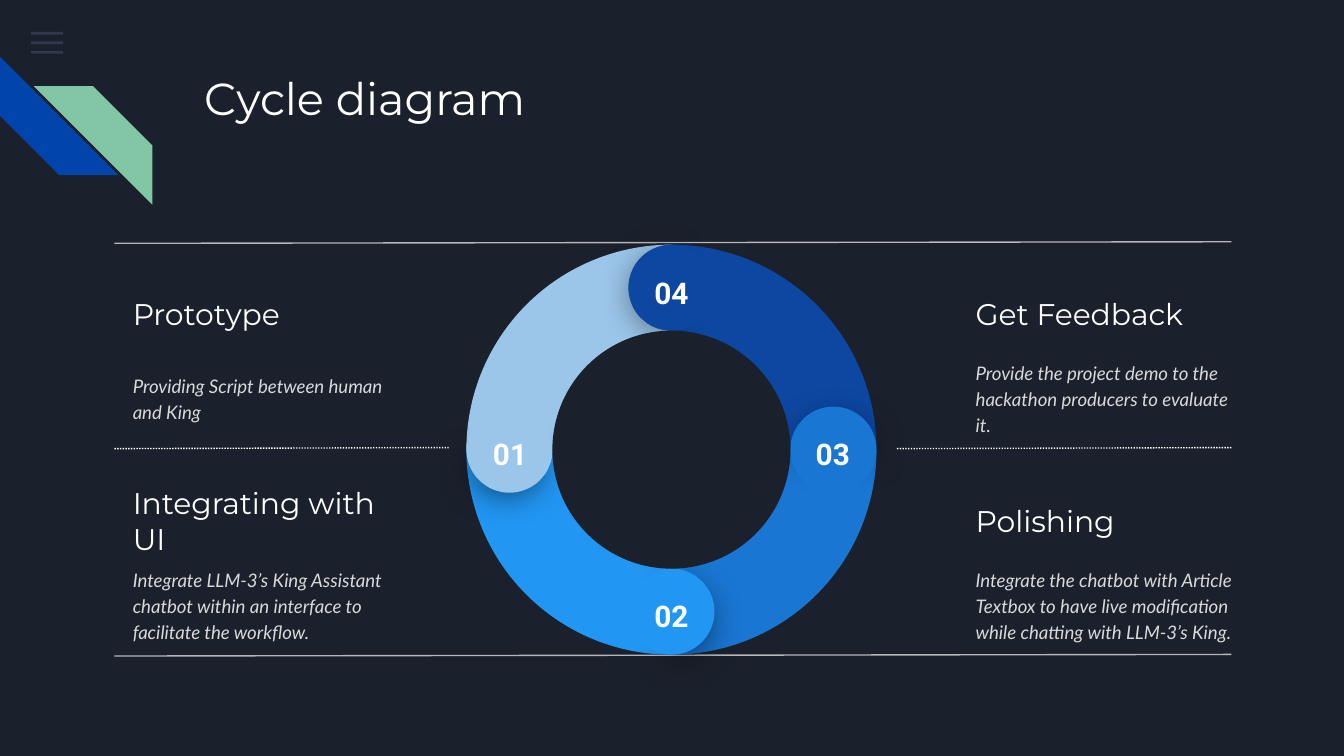
from math import cos, radians, sin

from lxml import etree
from pptx import Presentation
from pptx.dml.color import RGBColor
from pptx.enum.dml import MSO_LINE
from pptx.enum.shapes import MSO_CONNECTOR, MSO_SHAPE
from pptx.enum.text import MSO_ANCHOR, PP_ALIGN
from pptx.oxml.ns import qn
from pptx.util import Cm, Pt

RECT, STRIPE = MSO_SHAPE.RECTANGLE, MSO_SHAPE.DIAGONAL_STRIPE
PIE, CHORD, OVAL = MSO_SHAPE.PIE, MSO_SHAPE.CHORD, MSO_SHAPE.OVAL
STRAIGHT, DOTTED = MSO_CONNECTOR.STRAIGHT, MSO_LINE.ROUND_DOT
TOP, MIDDLE = MSO_ANCHOR.TOP, MSO_ANCHOR.MIDDLE
LEFT, CENTER = PP_ALIGN.LEFT, PP_ALIGN.CENTER

# Content
BACKGROUND, WHITE, BODY_GREY, RULE_GREY = "1B212C", "FFFFFF", "D9D9D9", "B7B7B7"
TITLE = "Cycle diagram"
# Column, row, heading lines, description
STEPS = [
    (0, 0, ["Prototype"], "Providing Script between human and King"),
    (0, 1, ["Integrating with", "UI"],
     "Integrate LLM-3’s King Assistant chatbot within an interface "
     "to facilitate the workflow."),
    (1, 0, ["Get Feedback"],
     "Provide the project demo to the hackathon producers to evaluate it."),
    (1, 1, ["Polishing"],
     "Integrate the chatbot with Article Textbox to have live modification "
     "while chatting with LLM-3’s King."),
]
# Number, direction from the ring centre (clockwise degrees), colour
SECTORS = [("01", 180, "9BC5E9"), ("02", 90, "2196F3"),
           ("03", 0, "1976D2"), ("04", 270, "0D47A1")]
# Start, end, colour, dotted
RULES = [
    ((23.27, 4.57), (2.16, 4.6), RULE_GREY, False),
    ((8.48, 8.46), (2.16, 8.48), WHITE, True),
    ((23.27, 8.46), (16.94, 8.48), WHITE, True),
    ((23.27, 12.37), (2.16, 12.4), RULE_GREY, False),
]

# Layout in centimetres
COLUMNS, ROWS, HEADING_HEIGHT = (2.26, 18.19), (5.31, 9.22), 1.24
RING_X, RING_Y, RING_SIZE, HOLE_SIZE = 12.69, 8.5, 7.75, 4.5
SHADE_RADIUS, CAP_RADIUS, NUMBER_RADIUS = 3.11, 3.06, 3.05


def color(value):
    return RGBColor.from_string(value)


def add_filled(page, kind, center, width, height, fill, rotation=0, adjust=()):
    x, y = center
    shape = page.shapes.add_shape(kind, Cm(x - width / 2), Cm(y - height / 2),
                                  Cm(width), Cm(height))
    shape.shadow.inherit = False
    shape.fill.solid()
    shape.fill.fore_color.rgb = color(fill)
    shape.line.fill.background()
    shape.rotation = rotation % 360
    for index, value in enumerate(adjust):
        shape.adjustments[index] = value
    return shape


def angles(*degrees):
    """Angles are stored in 60000ths of a degree, adjustments in 100000ths."""
    return [0.6 * degree for degree in degrees]


def set_alpha(shape, percent):
    tone = shape._element.spPr.find(qn("a:solidFill"))[0]
    etree.SubElement(tone, qn("a:alpha"), val=str(percent * 1000))


def add_soft_shadow(shape):
    effects = shape._element.spPr.find(qn("a:effectLst"))
    shadow = etree.SubElement(effects, qn("a:outerShdw"), blurRad=str(Pt(18)),
                              dist=str(Pt(4)), dir="5400000", algn="bl",
                              rotWithShape="0")
    tone = etree.SubElement(shadow, qn("a:srgbClr"), val="000000")
    etree.SubElement(tone, qn("a:alpha"), val="55000")


def fill_text(box, lines, size, font, tint, anchor=TOP, align=LEFT,
              bold=False, italic=False, spacing=None):
    frame = box.text_frame
    frame.word_wrap = True
    frame.vertical_anchor = anchor
    frame.margin_left = frame.margin_right = Cm(0.25)
    frame.margin_top = frame.margin_bottom = Cm(0.25)
    for index, line in enumerate(lines):
        para = frame.add_paragraph() if index else frame.paragraphs[0]
        para.alignment = align
        para.line_spacing = spacing
        span = para.add_run()
        span.text = line
        span.font.size, span.font.name = Pt(size), font
        span.font.bold, span.font.italic = bold, italic
        span.font.color.rgb = color(tint)


def add_text(page, left, top, width, height, lines, *style, **options):
    box = page.shapes.add_textbox(Cm(left), Cm(top), Cm(width), Cm(height))
    fill_text(box, lines, *style, **options)


def around(x, y, radius, angle):
    return x + radius * cos(radians(angle)), y + radius * sin(radians(angle))


def add_decoration(page):
    for index in range(3):
        bar = add_filled(page, RECT, (0.89, 0.63 + 0.18 * index), 0.61, 0.05, "55688B")
        set_alpha(bar, 36)
    add_filled(page, STRIPE, (1.12, 2.19), 2.24, 2.24, "0145AC", 270, [0.5])
    add_filled(page, STRIPE, (1.76, 2.75), 2.24, 2.24, "82C7A5", 90, [0.5])


def add_rules(page):
    for start, end, tint, dotted in RULES:
        rule = page.shapes.add_connector(STRAIGHT, *map(Cm, start + end))
        rule.line.color.rgb = color(tint)
        rule.line.width = Pt(0.75)
        if dotted:
            rule.line.dash_style = DOTTED
        etree.SubElement(rule._element.spPr, qn("a:effectLst"))


def add_ring(page):
    center = RING_X, RING_Y
    # Quarter sectors
    for _, angle, fill in SECTORS:
        add_filled(page, PIE, center, RING_SIZE, RING_SIZE, fill,
                   angle - 180, angles(180, 270))
    # Rounded ends: a shaded half disc under a nearly full one, then the number
    for number, angle, fill in SECTORS:
        shade = add_filled(page, PIE, around(*center, SHADE_RADIUS, angle), 1.45, 1.45,
                           fill, angle - 140.5, angles(316, 140))
        add_soft_shadow(shade)
        add_filled(page, CHORD, around(*center, CAP_RADIUS, angle), 1.63, 1.63,
                   fill, angle - 176, angles(41.7, 30.2))
        x, y = around(RING_X, RING_Y - 0.14, NUMBER_RADIUS, angle)
        add_text(page, x - 0.71, y - 0.37, 1.42, 0.74, [number],
                 16, "Roboto", WHITE, align=CENTER, bold=True)
    add_filled(page, OVAL, center, HOLE_SIZE, HOLE_SIZE, BACKGROUND)


def main():
    deck = Presentation()
    deck.slide_width, deck.slide_height = Cm(25.4), Cm(14.29)
    page = deck.slides.add_slide(deck.slide_layouts[5])
    page.background.fill.solid()
    page.background.fill.fore_color.rgb = color(BACKGROUND)

    add_decoration(page)

    # Title
    title = page.shapes.title
    title.left, title.top, title.width, title.height = map(Cm, (3.61, 1.09, 19.56, 2.54))
    fill_text(title, [TITLE], 24, "Montserrat", WHITE)

    # Step texts
    for column, row, heading, description in STEPS:
        left, top = COLUMNS[column], ROWS[row]
        add_text(page, left, top, 5.16, HEADING_HEIGHT, heading,
                 16, "Montserrat", WHITE, anchor=MIDDLE)
        add_text(page, left, top + HEADING_HEIGHT, 5.54, 1.93, [description],
                 10, "Lato", BODY_GREY, anchor=MIDDLE, italic=True, spacing=1.15)

    add_rules(page)
    add_ring(page)
    deck.save("out.pptx")


if __name__ == "__main__":
    main()
